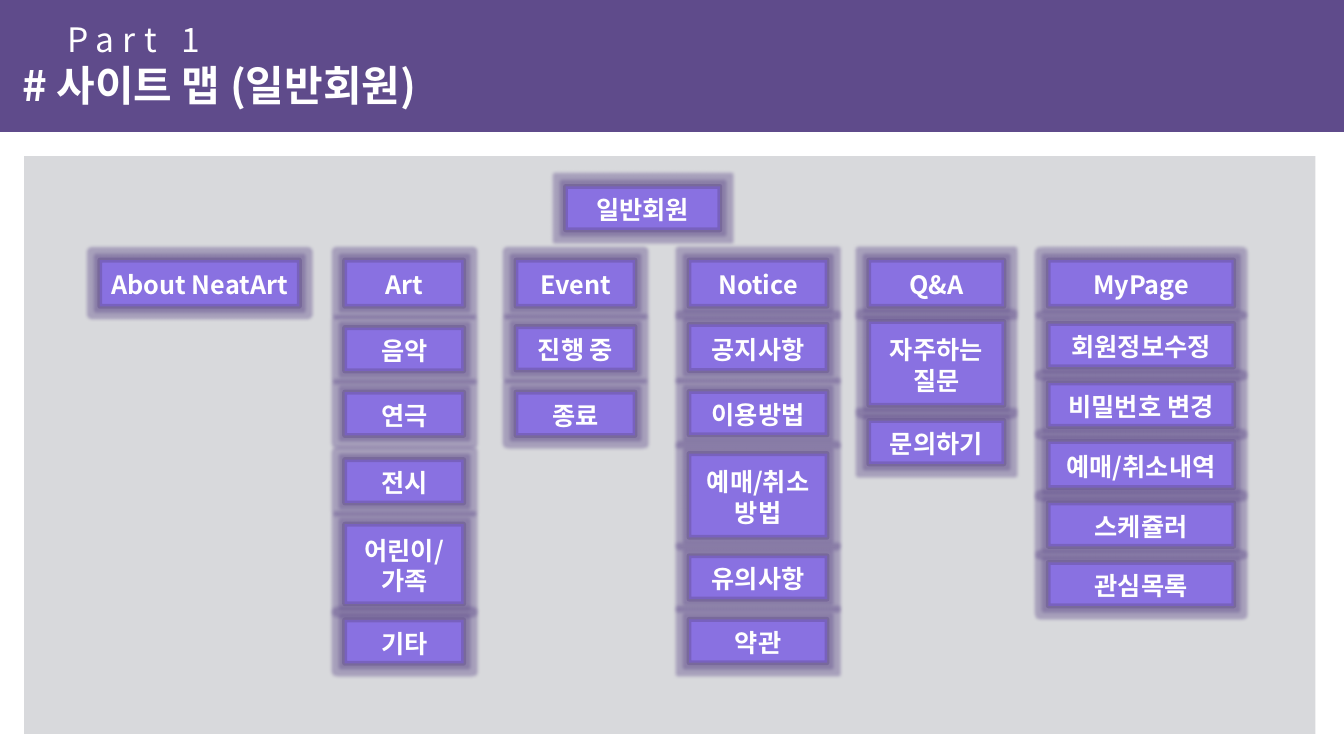
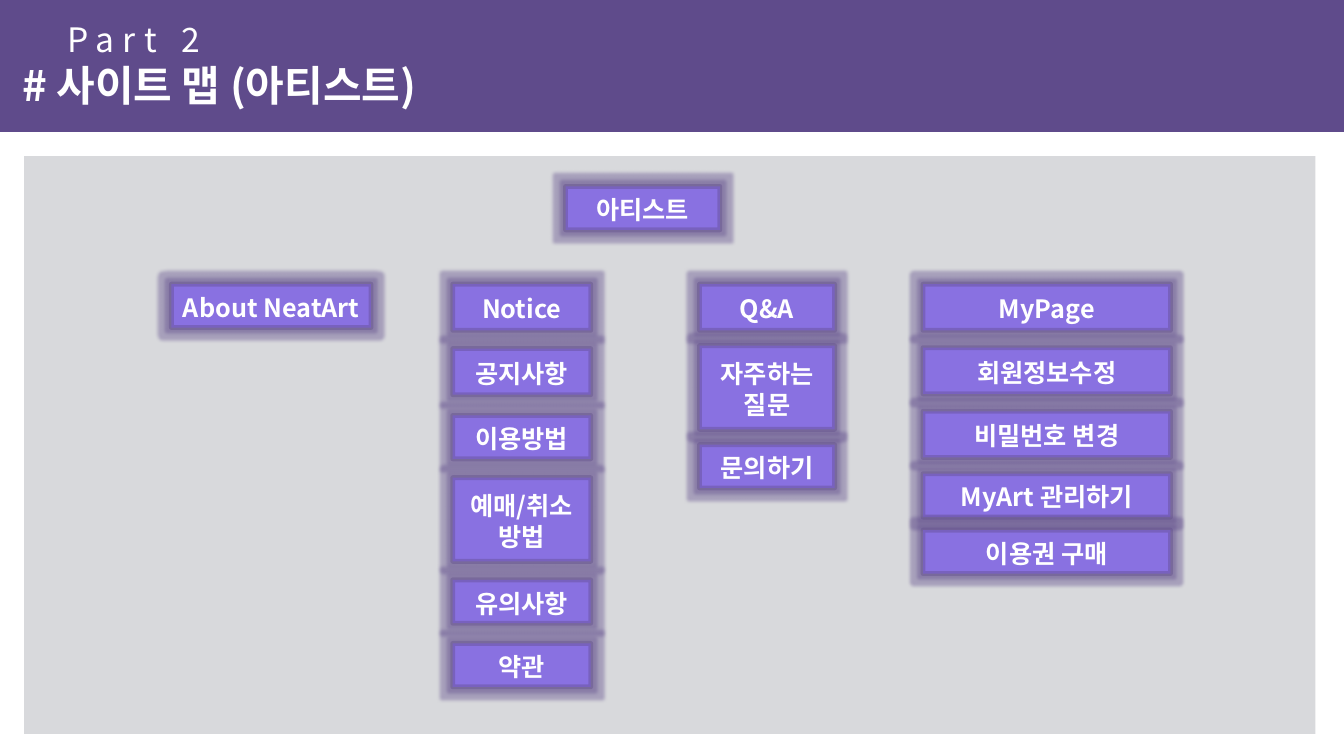
from dataclasses import dataclass

from lxml import etree
from pptx import Presentation
from pptx.dml.color import RGBColor
from pptx.enum.shapes import MSO_SHAPE
from pptx.enum.text import MSO_ANCHOR, PP_ALIGN
from pptx.oxml.ns import qn
from pptx.util import Pt

COLORS = {
    "band": "5F4B8B",
    "panel": "D8D9DC",
    "box": "8971E1",
    "text": "FFFFFF",
}
FONT = "Noto Sans CJK KR"
ONE_LINE, HEADER, TWO_LINES = 31, 33, 59.8
GLOW_RADIUS, EDGE_WIDTH, EDGE_ALPHA = 5, 3.5, 40


@dataclass(frozen=True)
class Item:
    """A menu entry; offset counts from the top of its column."""
    text: str
    offset: float
    height: float = ONE_LINE


@dataclass(frozen=True)
class Menu:
    header: str
    width: float
    items: tuple[Item, ...] = ()
    header_height: float = HEADER


@dataclass(frozen=True)
class SiteMap:
    label: str
    member: str
    top: float
    columns: tuple[tuple[float, Menu], ...]  # left edge, menu


# Menus found on both slides
NOTICE = Menu("Notice", 98.6, (
    Item("공지사항", 46, HEADER),
    Item("이용방법", 93.8),
    Item("예매/취소\n방법", 138.2, TWO_LINES),
    Item("유의사항", 211.2),
    Item("약관", 256.6),
))
QNA = Menu("Q&A", 96.5, (
    Item("자주하는\n질문", 43.9, TWO_LINES),
    Item("문의하기", 114.6),
))

# Menus of one slide
ART = Menu("Art", 85, (
    Item("음악", 48.2),
    Item("연극", 94.3),
    Item("전시", 142.5),
    Item("어린이/\n가족", 188.6, 56.9),
    Item("기타", 257),
))
EVENT = Menu("Event", 85, (Item("진행 중", 47.5), Item("종료", 94.3)))
MEMBER_PAGE = Menu("MyPage", 132.5, (
    Item("회원정보수정", 45.3),
    Item("비밀번호 변경", 87.8),
    Item("예매/취소내역", 129.6, HEADER),
    Item("스케쥴러", 173.5),
    Item("관심목록", 216),
))
ARTIST_PAGE = Menu("MyPage", 176.8, (
    Item("회원정보수정", 45.4, HEADER),
    Item("비밀번호 변경", 90.8, HEADER),
    Item("MyArt 관리하기", 135.4),
    Item("이용권 구매", 175.7),
))
ABOUT = "About NeatArt"

SITE_MAPS = (
    SiteMap("Part 1", "일반회원", 185.8, (
        (71.3, Menu(ABOUT, 142.6)),
        (246.2, ART),
        (368.6, EVENT),
        (492.2, NOTICE),
        (620.6, QNA),
        (748.8, MEMBER_PAGE),
    )),
    SiteMap("Part 2", "아티스트", 203, (
        (122.4, Menu(ABOUT, 142.6, header_height=ONE_LINE)),
        (323.4, NOTICE),
        (499.7, QNA),
        (659.3, ARTIST_PAGE),
    )),
)


def write(sp, text: str, *, size: float, bold: bool = False,
          align=PP_ALIGN.LEFT, spacing: int = 0,
          margins: tuple[float, float, float, float] = (7.2, 0, 7.2, 0)) -> None:
    """Fill a shape with white text, one paragraph per line."""
    tf = sp.text_frame
    tf.word_wrap = True
    tf.vertical_anchor = MSO_ANCHOR.MIDDLE
    tf.margin_left, tf.margin_top, tf.margin_right, tf.margin_bottom = map(Pt, margins)
    for i, line in enumerate(text.split("\n")):
        p = tf.add_paragraph() if i else tf.paragraphs[0]
        p.alignment = align
        p.line_spacing = 1.0
        r = p.add_run()
        r.text = line
        r.font.size = Pt(size)
        r.font.bold = bold
        r.font.name = FONT
        r.font.color.rgb = RGBColor.from_string(COLORS["text"])
        props = r.font._element
        etree.SubElement(props, qn("a:ea")).set("typeface", FONT)
        if spacing:
            props.set("spc", str(spacing * 100))


def add_rect(s, x: float, y: float, w: float, h: float, color: str):
    sp = s.shapes.add_shape(MSO_SHAPE.RECTANGLE, Pt(x), Pt(y), Pt(w), Pt(h))
    sp.shadow.inherit = False
    sp.fill.solid()
    sp.fill.fore_color.rgb = RGBColor.from_string(COLORS[color])
    sp.line.fill.background()
    return sp


def set_alpha(color_element) -> None:
    etree.SubElement(color_element, qn("a:alpha")).set("val", str(EDGE_ALPHA * 1000))


def add_box(s, text: str, x: float, y: float, w: float, h: float) -> None:
    """Draw a menu box with a translucent edge and glow."""
    sp = add_rect(s, x, y, w, h, "box")
    sp.line.width = Pt(EDGE_WIDTH)
    sp.line.color.rgb = RGBColor.from_string(COLORS["band"])
    props = sp.element.spPr
    set_alpha(props.find(qn("a:ln")).find(".//" + qn("a:srgbClr")))
    glow = etree.SubElement(props.find(qn("a:effectLst")), qn("a:glow"))
    glow.set("rad", str(int(Pt(GLOW_RADIUS))))
    tint = etree.SubElement(glow, qn("a:srgbClr"))
    tint.set("val", COLORS["band"])
    set_alpha(tint)
    write(sp, text, size=18, bold=True, align=PP_ALIGN.CENTER, margins=(0, 2, 0, 0))


def add_frame(s, site_map: SiteMap) -> None:
    """Draw the panel, title band, title and label."""
    add_rect(s, 17.3, 111.6, 922.3, 412.6, "panel")
    band = add_rect(s, 0, 0, 960, 94.3, "band")
    title = s.shapes.title
    band.element.getparent().append(title.element)  # bring title above the band
    title.left, title.top, title.width, title.height = map(Pt, (8.6, 38.5, 360, 44))
    write(title, f"# 사이트 맵 ({site_map.member})", size=30, bold=True)
    label = s.shapes.add_textbox(Pt(41), Pt(9.6), Pt(140), Pt(36))
    write(label, site_map.label, size=24, spacing=6)


def add_menu(s, menu: Menu, x: float, top: float) -> None:
    for item in (Item(menu.header, 0, menu.header_height), *menu.items):
        add_box(s, item.text, x, top + item.offset, menu.width, item.height)


def main() -> None:
    prs = Presentation()
    prs.slide_width, prs.slide_height = Pt(960), Pt(540)
    for site_map in SITE_MAPS:
        s = prs.slides.add_slide(prs.slide_layouts[5])
        add_frame(s, site_map)
        add_box(s, site_map.member, 404, 133.2, 110.2, ONE_LINE)
        for x, menu in site_map.columns:
            add_menu(s, menu, x, site_map.top)
    prs.save("out.pptx")


if __name__ == "__main__":
    main()
